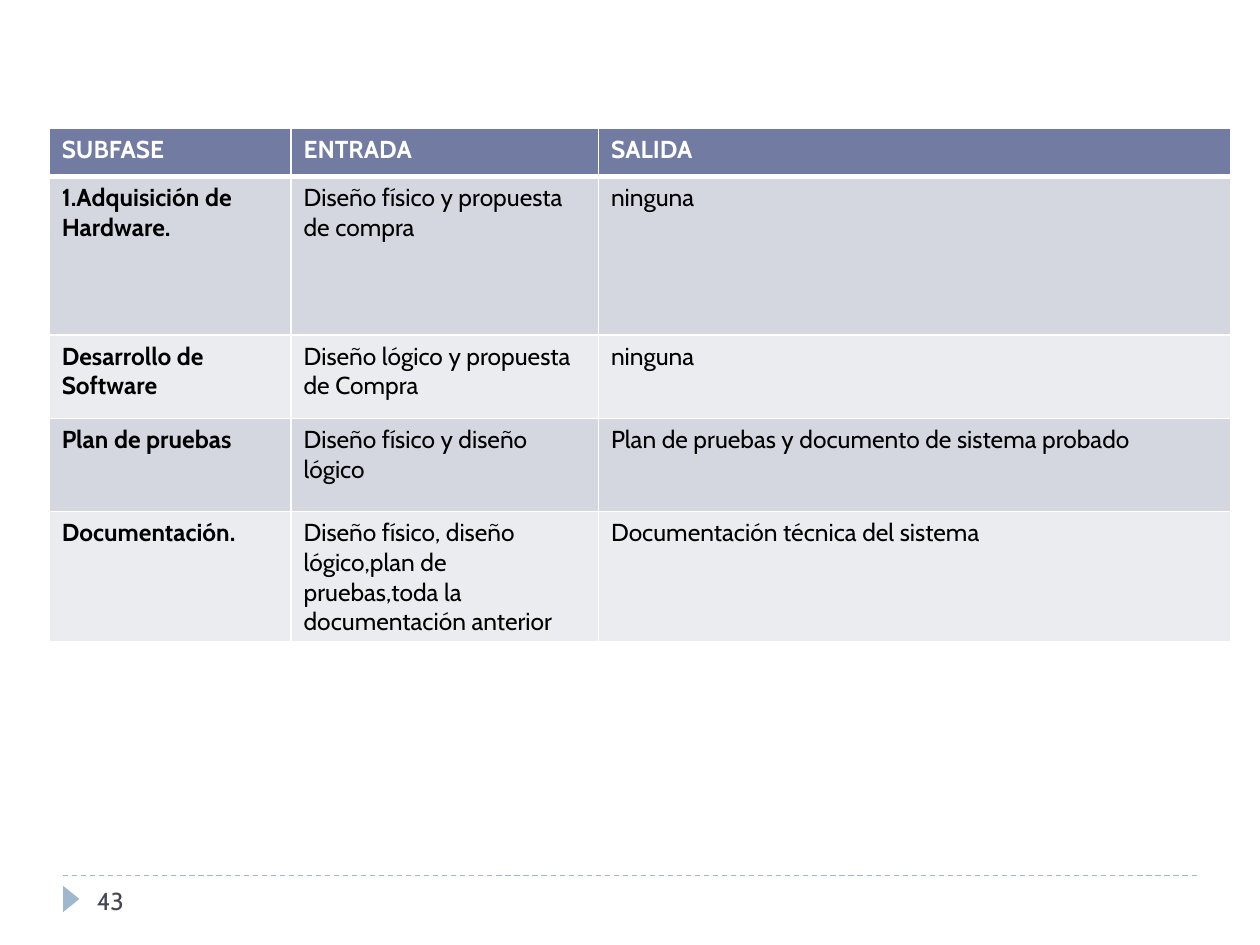
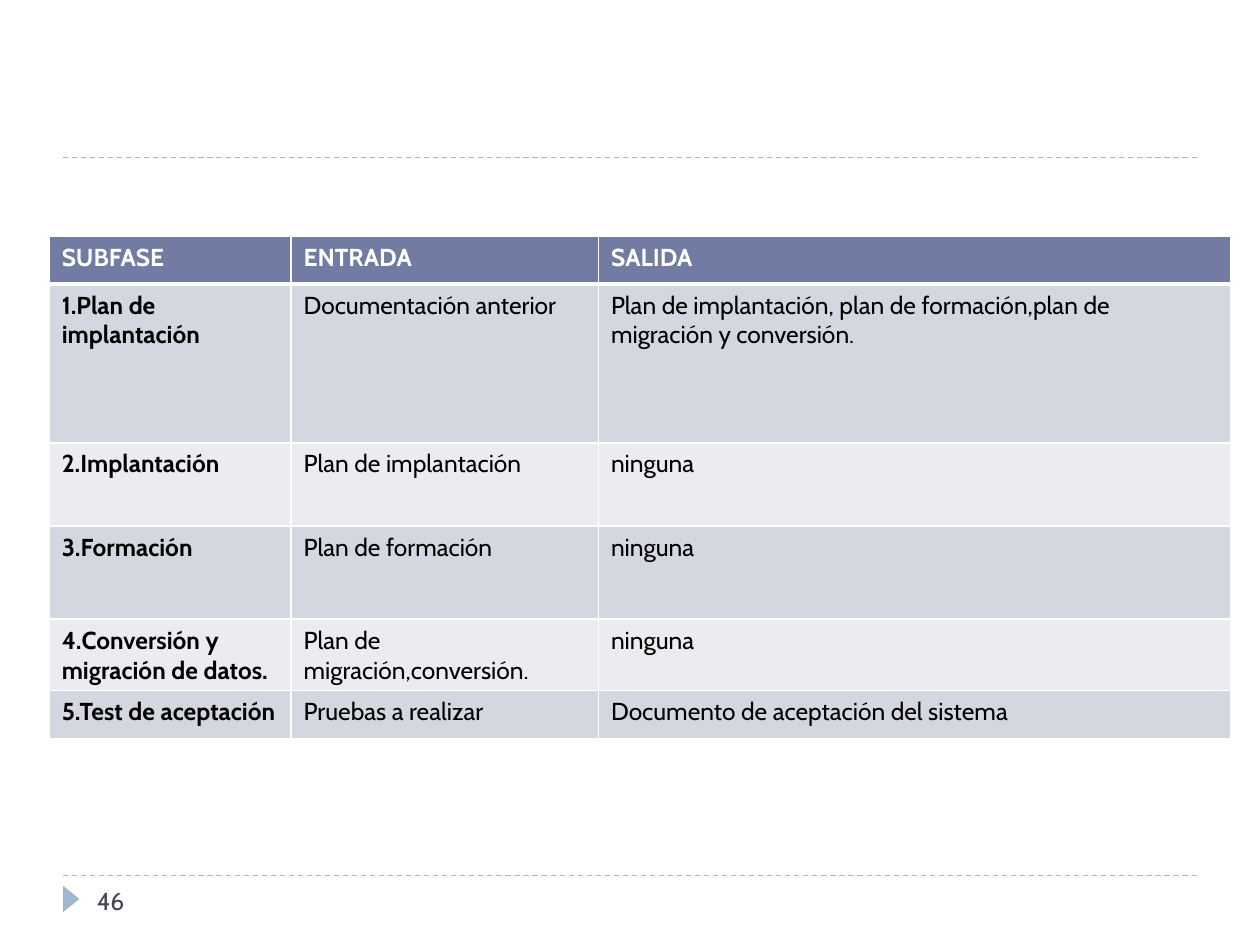
from lxml.etree import SubElement
from pptx import Presentation
from pptx.dml.color import RGBColor
from pptx.enum.dml import MSO_LINE as Dash
from pptx.enum.shapes import MSO_CONNECTOR as Link, MSO_SHAPE as Shape
from pptx.enum.text import MSO_ANCHOR as Anchor
from pptx.oxml.ns import qn
from pptx.util import Pt

FONT, SIZE = "Cabin", 14
WHITE, BLACK, GREY = "FFFFFF", "000000", "464653"
BLUE, HEAD = "9FB8CD", "727CA3"
BANDS = ("D5D7E0", "EBECF0")
COLS = (138.24, 175.68, 361.08)
ROWS = (27.36, 90.72, 47.52, 53.28, 27.36, 27.36)
HEADS = ("SUBFASE", "ENTRADA", "SALIDA")

BUILD = (
    ("1.Adquisición de Hardware.", "Diseño físico y propuesta de compra", "ninguna"),
    ("Desarrollo de Software", "Diseño lógico y propuesta de Compra", "ninguna"),
    ("Plan de pruebas", "Diseño físico y diseño lógico",
     "Plan de pruebas y documento de sistema probado"),
    ("Documentación.",
     "Diseño físico, diseño lógico,plan de pruebas,toda la documentación anterior",
     "Documentación técnica del sistema"),
)
LAUNCH = (
    ("1.Plan de implantación", "Documentación anterior",
     "Plan de implantación, plan de formación,plan de migración y conversión."),
    ("2.Implantación", "Plan de implantación", "ninguna"),
    ("3.Formación", "Plan de formación", "ninguna"),
    ("4.Conversión y migración de datos.", "Plan de migración,conversión.", "ninguna"),
    ("5.Test de aceptación", "Pruebas a realizar", "Documento de aceptación del sistema"),
)


def color(code):
    return RGBColor.from_string(code)


class Deck:
    def __init__(self):
        self.file = Presentation()
        self.file.slide_width, self.file.slide_height = Pt(720), Pt(540)
        self.slide = None

    def page(self, number):
        """Start a slide with its footer rule, marker and number."""
        self.slide = self.file.slides.add_slide(self.file.slide_layouts[6])
        self.rule(500.4)
        self.marker()
        self.number(number)

    def rule(self, y):
        line = self.slide.shapes.add_connector(Link.STRAIGHT, Pt(36), Pt(y), Pt(684), Pt(y))
        line.line.color.rgb = color(BLUE)
        line.line.width = Pt(0.75)
        line.line.dash_style = Dash.DASH
        SubElement(line._element.spPr, qn("a:effectLst"))

    def marker(self):
        mark = self.slide.shapes.add_shape(
            Shape.ISOSCELES_TRIANGLE, Pt(33.12), Pt(509.04), Pt(15.12), Pt(9.36))
        mark.rotation = 90
        mark.shadow.inherit = False
        mark.fill.solid()
        mark.fill.fore_color.rgb = color(BLUE)
        mark.line.fill.background()

    def number(self, value):
        box = self.slide.shapes.add_textbox(Pt(48.24), Pt(500.4), Pt(156.24), Pt(28.8))
        box.text_frame.word_wrap = True
        box.text_frame.vertical_anchor = Anchor.MIDDLE
        self.label(box.text_frame, str(value), GREY)

    def label(self, frame, text, ink, bold=False):
        frame.text = text
        font = frame.paragraphs[0].font
        font.name, font.size, font.bold = FONT, Pt(SIZE), bold
        font.color.rgb = color(ink)

    def border(self, cell, row):
        """Draw white cell edges, thick between the heading and the body."""
        props = cell._tc.get_or_add_tcPr()
        thick = {(0, "B"), (1, "T")}
        for side in "LRTB":
            width = Pt(3 if (row, side) in thick else 1)
            edge = SubElement(props, qn(f"a:ln{side}"), w=str(width))
            fill = SubElement(edge, qn("a:solidFill"))
            SubElement(fill, qn("a:srgbClr"), val=WHITE)

    def table(self, top, body):
        rows = (HEADS, *body)
        sizes = ROWS[:len(rows)]
        grid = self.slide.shapes.add_table(
            len(rows), len(COLS), Pt(28.08), Pt(top), Pt(sum(COLS)), Pt(sum(sizes))).table
        for col, width in zip(grid.columns, COLS):
            col.width = Pt(width)
        for r, (texts, height) in enumerate(zip(rows, sizes)):
            grid.rows[r].height = Pt(height)
            for c, text in enumerate(texts):
                cell = grid.cell(r, c)
                self.border(cell, r)
                cell.fill.solid()
                cell.fill.fore_color.rgb = color(BANDS[(r - 1) % 2] if r else HEAD)
                self.label(cell.text_frame, text, BLACK if r else WHITE, r == 0 or c == 0)


def main():
    deck = Deck()
    deck.page(43)
    deck.table(73.44, BUILD)
    deck.page(46)
    deck.rule(90)
    deck.table(135, LAUNCH)
    deck.file.save("out.pptx")


if __name__ == "__main__":
    main()
